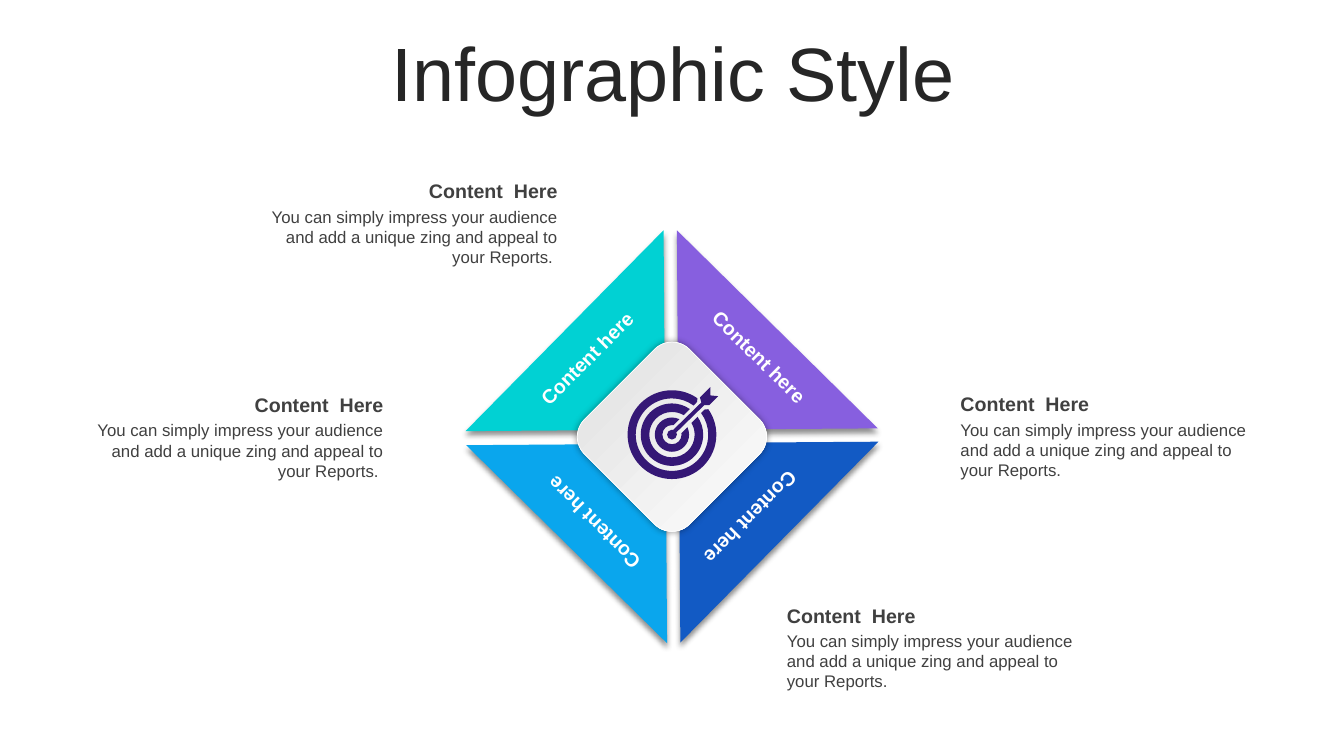
from math import cos, radians, sin, tan

from lxml.etree import SubElement
from pptx import Presentation
from pptx.dml.color import RGBColor
from pptx.enum.shapes import MSO_SHAPE
from pptx.enum.text import MSO_ANCHOR, MSO_AUTO_SIZE, PP_ALIGN
from pptx.oxml.ns import qn
from pptx.util import Pt

PX = 6350  # EMU in one px, 1920 x 1080 px on the slide
FINE = 100  # outline units in one px

WHITE = RGBColor(0xFF, 0xFF, 0xFF)
SILVER = RGBColor(0xDE, 0xDE, 0xDE)
INK = RGBColor(0x26, 0x26, 0x26)
GRAY = RGBColor(0x40, 0x40, 0x40)
BLUE = RGBColor(0x12, 0x5A, 0xC4)
VIOLET = RGBColor(0x87, 0x5F, 0xDF)
TEAL = RGBColor(0x01, 0xD1, 0xD3)
SKY = RGBColor(0x0A, 0xA6, 0xED)
INDIGO = RGBColor(0x35, 0x18, 0x76)

TITLE = {"size": Pt(54), "bold": False}
HEADING = {"size": Pt(14), "bold": True}
BODY = {"size": Pt(12), "bold": False}


class InfographicSlide:
    """Holds the style and the slide being drawn."""

    font_name = "Arial"

    def __init__(self, presentation):
        self.slide = presentation.slides.add_slide(presentation.slide_layouts[6])
        self.shapes = self.slide.shapes

    def text(self, words, box, style, color, align=PP_ALIGN.LEFT,
             anchor=MSO_ANCHOR.TOP, rotation=0, line_spacing=1.0,
             auto_size=MSO_AUTO_SIZE.SHAPE_TO_FIT_TEXT):
        label = self.shapes.add_textbox(*(v * PX for v in box))
        label.rotation = rotation
        frame = label.text_frame
        frame_format = {"word_wrap": True, "auto_size": auto_size,
                        "vertical_anchor": anchor}
        for name, value in frame_format.items():
            setattr(frame, name, value)
        paragraph = frame.paragraphs[0]
        paragraph.text = words
        paragraph.alignment = align
        paragraph.line_spacing = line_spacing
        font = paragraph.runs[0].font
        for name, value in {"name": self.font_name, **style}.items():
            setattr(font, name, value)
        font.color.rgb = color

    def shape(self, preset, box, rotation):
        tile = self.shapes.add_shape(preset, *(v * PX for v in box))
        tile.rotation = rotation
        return tile

    def shadow(self, tile, opacity, blur, distance, direction):
        tile.shadow.inherit = False
        effects = tile._element.spPr.find(qn("a:effectLst"))
        outer = SubElement(effects, qn("a:outerShdw"), {
            "blurRad": str(Pt(blur)), "dist": str(Pt(distance)),
            "dir": str(direction * 60000), "algn": "ctr", "rotWithShape": "0"})
        tint = SubElement(outer, qn("a:srgbClr"), val="000000")
        SubElement(tint, qn("a:alpha"), val=str(opacity * 1000))

    def triangle(self, box, rotation, color):
        tile = self.shape(MSO_SHAPE.RIGHT_TRIANGLE, box, rotation)
        tile.fill.solid()
        tile.fill.fore_color.rgb = color
        tile.line.fill.background()
        self.shadow(tile, 43, 4, 3, 90)

    def hub(self, box):
        tile = self.shape(MSO_SHAPE.ROUNDED_RECTANGLE, box, 45)
        tile.fill.gradient()
        tile.fill.gradient_angle = 0
        for stop, color, position in zip(tile.fill.gradient_stops,
                                         (SILVER, WHITE), (0, 1)):
            stop.color.rgb = color
            stop.position = position
        tile.line.color.rgb = WHITE
        tile.line.width = Pt(0.5)
        self.shadow(tile, 40, 5, 0, 0)

    def outline(self, contours, center, color):
        """Draw contours of one-point lines and three-point curves."""
        builder = self.shapes.build_freeform(scale=PX / FINE)
        for contour in contours:
            points = [((center[0] + x) * FINE, (center[1] + y) * FINE)
                      for segment in contour for x, y in segment]
            builder.move_to(*points[0])
            builder.add_line_segments(points[1:], close=True)
        icon = builder.convert_to_shape()
        icon.fill.solid()
        icon.fill.fore_color.rgb = color
        icon.line.fill.background()
        icon.shadow.inherit = False
        # Join each run of three points into one curve
        lines = iter(list(icon._element.iter(qn("a:lnTo"))))
        for segment in (s for contour in contours for s in contour[1:]):
            first, *others = [next(lines) for _ in segment]
            if others:
                first.tag = qn("a:cubicBezTo")
                for line in others:
                    first.append(line[0])
                    line.getparent().remove(line)


def polar(radius, angle):
    return radius * cos(radians(angle)), -radius * sin(radians(angle))


def arc(radius, gap, backward=False):
    """Circle open by gap degrees either side of the upper right."""
    cuts = [45 + gap, 90, 180, 270, 360, 405 - gap]
    if backward:
        cuts.reverse()
    segments = [[polar(radius, cuts[0])]]
    for start, end in zip(cuts, cuts[1:]):
        reach = 4 / 3 * tan(radians(end - start) / 4)
        (x0, y0), (x1, y1) = polar(radius, start), polar(radius, end)
        segments.append([(x0 + reach * y0, y0 - reach * x0),
                         (x1 - reach * y1, y1 + reach * x1), (x1, y1)])
    return segments


def ring(outer, inner, notch=None):
    """Open ring; notch is a point inside each cut end."""
    contour = arc(*outer)
    if notch:
        contour.append([polar(notch[0], 45 - notch[1])])
    contour += arc(*inner, backward=True)
    if notch:
        contour.append([polar(notch[0], 45 + notch[1])])
    return contour


def main():
    presentation = Presentation()
    presentation.slide_width = 1920 * PX
    presentation.slide_height = 1080 * PX
    page = InfographicSlide(presentation)

    # Title
    page.text("Infographic Style", (50, 53, 1823, 114), TITLE, INK,
              PP_ALIGN.CENTER, MSO_ANCHOR.MIDDLE, line_spacing=0.9,
              auto_size=MSO_AUTO_SIZE.NONE)

    # Four triangles of the diamond
    for left, top, rotation, color in (
            (971, 632, 89.6, BLUE), (968, 328, 359.6, VIOLET),
            (664, 330, 269.6, TEAL), (667, 635, 179.6, SKY)):
        page.triangle((left, top, 285, 285), rotation, color)

    # Center tile
    page.hub((854, 518, 212, 212))

    # Labels along the diamond's edges
    for left, top, rotation in ((935, 485, 44.5), (688, 487, 315),
                                (698, 723, 225), (923, 716, 135)):
        page.text("Content here", (left, top, 300, 49), HEADING, WHITE,
                  PP_ALIGN.CENTER, MSO_ANCHOR.MIDDLE, rotation)

    # Target with arrow
    head = [[point] for point in ((55, -68), (55, -56), (66, -55),
                                  (53, -42), (46, -42), (6, -3))]
    tail = [[point] for point in ((1, -6), (42, -46), (40, -53))]
    target = [ring((24.5, 19), (13.7, 36)), ring((44.6, 10), (32.4, 14)),
              ring((63.4, 10), (51.8, 8.5), (59, 7.5)),
              head + arc(7, 20, backward=True) + tail]
    page.outline(target, (960, 621), INDIGO)

    # Content blocks
    message = ("You can simply impress your audience and add a unique zing "
               "and appeal to your Reports.")
    for left, top, align, ending in (
            (1358, 553, PP_ALIGN.LEFT, ""), (107, 554, PP_ALIGN.RIGHT, " "),
            (1110, 855, PP_ALIGN.LEFT, ""), (356, 249, PP_ALIGN.RIGHT, " ")):
        page.text("Content  Here", (left, top, 455, 49), HEADING, GRAY, align)
        page.text(message + ending, (left, top + 39, 455, 102), BODY, GRAY, align)

    presentation.save("out.pptx")


if __name__ == "__main__":
    main()
